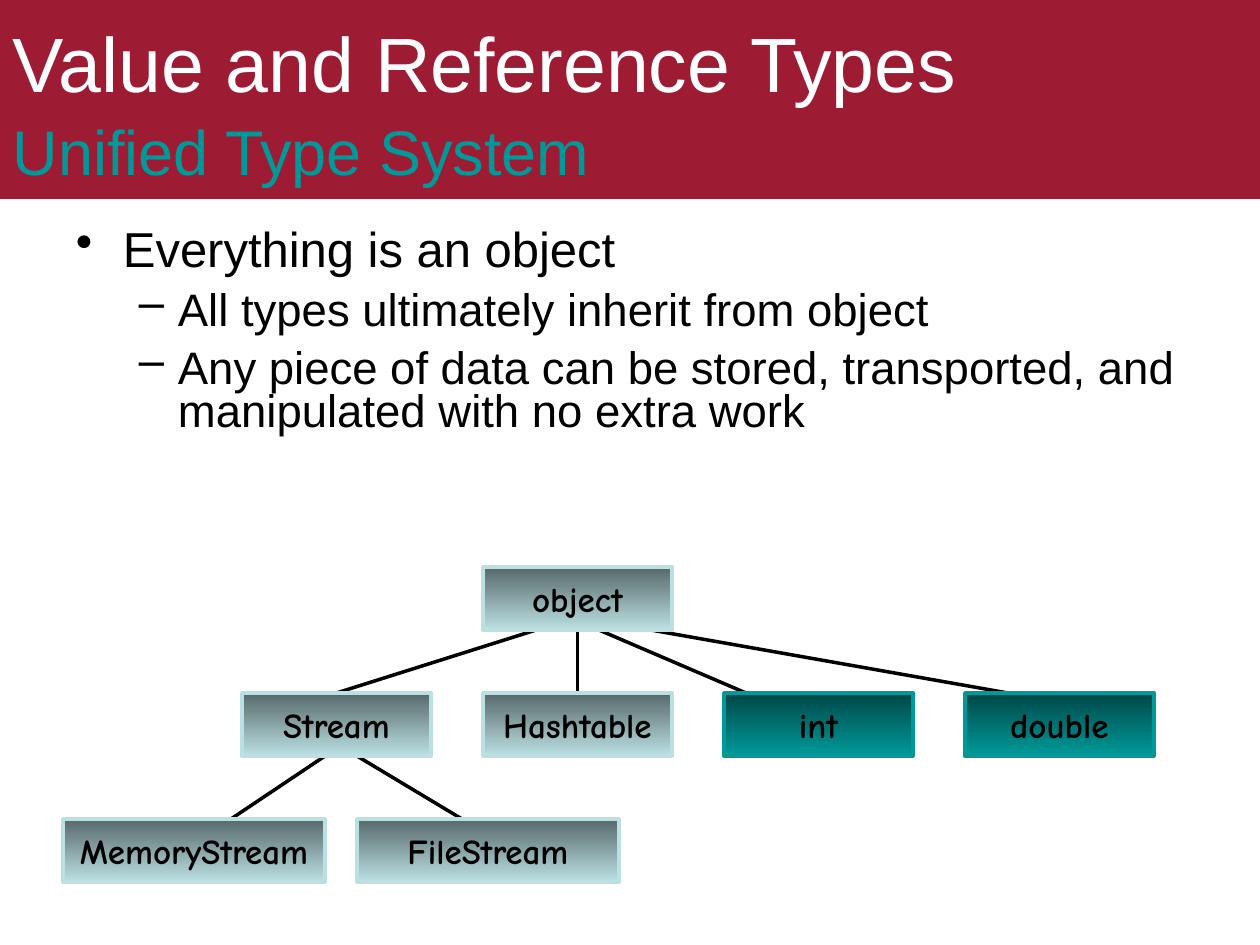
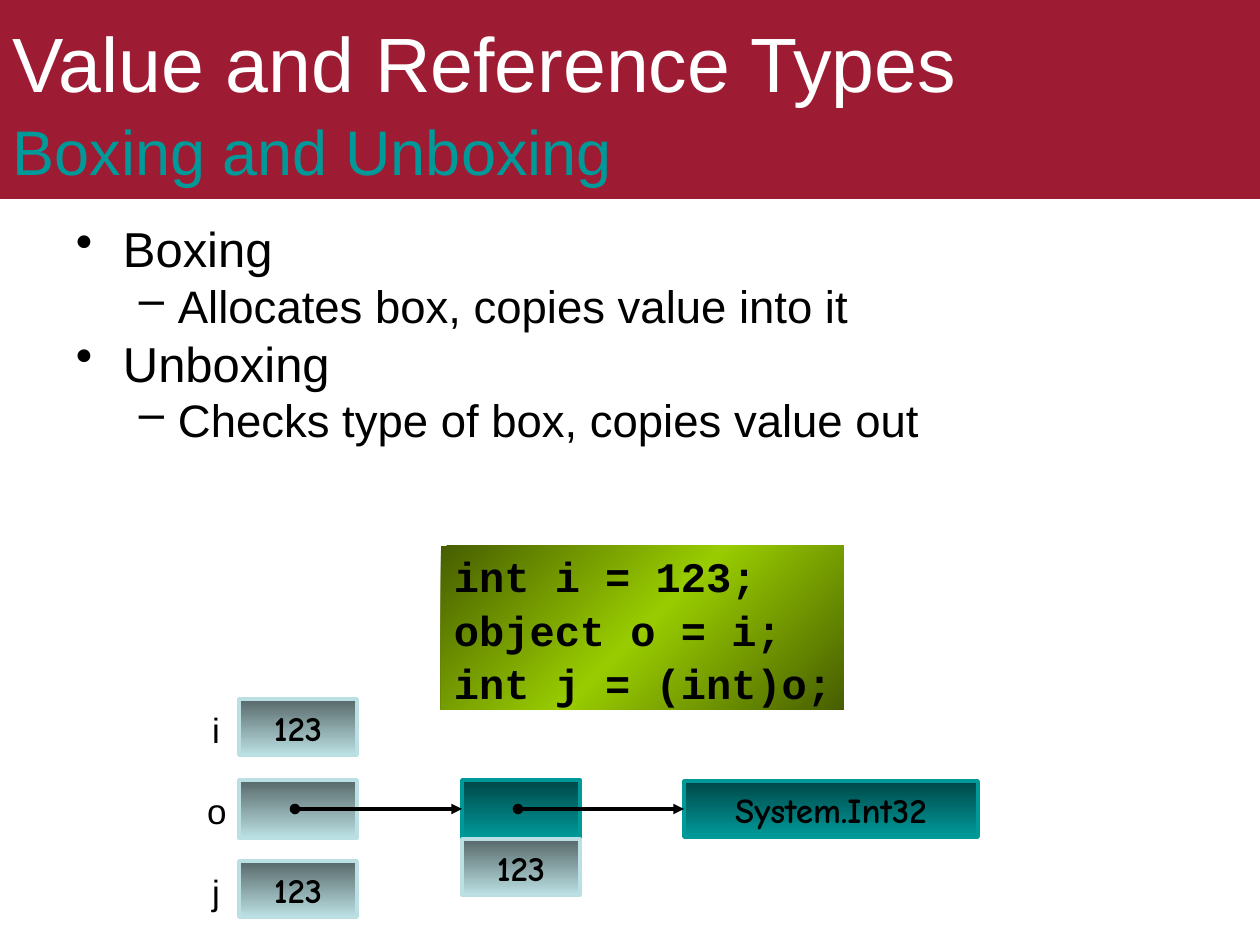
"""Build two slides on value and reference types."""
import copy

import pptx
import pptx.dml.color
import pptx.enum.shapes
import pptx.enum.text
import pptx.oxml
import pptx.oxml.ns
import pptx.util

EMU_PER_PX = pptx.util.Inches(1) / 126
COLORS = {
    "band": "9E1B34", "title": "FFFFFF", "teal": "009999", "dark teal": "004747",
    "pale": "BBE0E3", "dark pale": "576869", "lime": "99CC00", "dark lime": "475E00",
    "text": "000000",
}
REFERENCE_STYLE = ("dark pale", "pale")
VALUE_STYLE = ("dark teal", "teal")
FONTS = {
    "title": {"name": "Arial", "size": pptx.util.Pt(44)},
    "subtitle": {"name": "Arial", "size": pptx.util.Pt(36)},
    "node": {"name": "Comic Neue", "size": pptx.util.Pt(20), "bold": True},
    "label": {"name": "Arial", "size": pptx.util.Pt(20)},
    "code": {"name": "Courier New", "size": pptx.util.Pt(24), "bold": True},
}
LEVELS = [
    {"bullet": "•", "margin": 47, "indent": -47, "size": 28},
    {"bullet": "–", "margin": 102, "indent": -39, "size": 26},
]
CENTER = pptx.enum.text.PP_ALIGN.CENTER
LEFT = pptx.enum.text.PP_ALIGN.LEFT
TITLE_BOX = (0, 0, 1260, 199)
BODY_BOX = (63, 220, 1134, 624)


def px(length):
    """Turn pixels into EMU."""
    return round(length * EMU_PER_PX)


def color(name):
    """Return the named colour."""
    return pptx.dml.color.RGBColor.from_string(COLORS[name])


def apply(target, values):
    """Set each attribute from a dict."""
    for name, value in values.items():
        setattr(target, name, value)


def add_run(paragraph, text, font, color_name="text"):
    """Add a run with the given font values."""
    run = paragraph.add_run()
    run.text = text
    apply(run.font, font)
    run.font.color.rgb = color(color_name)


def set_frame(shape, wrap=True, anchor=pptx.enum.text.MSO_ANCHOR.MIDDLE):
    """Set wrapping, anchor and margins and return the text frame."""
    apply(shape.text_frame, {
        "word_wrap": wrap, "vertical_anchor": anchor,
        "margin_left": px(13), "margin_right": px(13),
        "margin_top": px(6), "margin_bottom": px(6),
    })
    return shape.text_frame


def add_rectangle(slide, box):
    """Add a plain rectangle without line or shadow."""
    rectangle = slide.shapes.add_shape(
        pptx.enum.shapes.MSO_SHAPE.RECTANGLE, *map(px, box))
    rectangle.shadow.inherit = False
    rectangle.line.fill.background()
    return rectangle


def fill_gradient(shape, names, angle):
    """Fill with evenly spaced gradient stops."""
    shape.fill.gradient()
    shape.fill.gradient_angle = angle
    stop_list = shape.element.spPr.find(".//" + pptx.oxml.ns.qn("a:gsLst"))
    for _ in names[2:]:
        stop_list.append(copy.deepcopy(stop_list[0]))
    for index, (stop, name) in enumerate(zip(shape.fill.gradient_stops, names)):
        stop.position = index / (len(names) - 1)
        stop.color.rgb = color(name)


def add_node(slide, box, style, text=""):
    """Add a shaded, outlined box with centred text."""
    node = add_rectangle(slide, box)
    fill_gradient(node, style, 270)
    node.line.color.rgb = color(style[1])
    node.line.width = pptx.util.Pt(2)
    if text:
        paragraph = set_frame(node, wrap=False).paragraphs[0]
        paragraph.alignment = CENTER
        add_run(paragraph, text, FONTS["node"])
    return node


def add_line(slide, start, end, arrow=False):
    """Add a black line, as an arrow with a dot at its start if asked."""
    line = slide.shapes.add_connector(
        pptx.enum.shapes.MSO_CONNECTOR.STRAIGHT, *map(px, start + end))
    line.line.color.rgb = color("text")
    line.line.width = pptx.util.Pt(2)
    properties = line.element.spPr
    if arrow:
        outline = properties.find(pptx.oxml.ns.qn("a:ln"))
        for tag, kind in (("a:headEnd", "oval"), ("a:tailEnd", "triangle")):
            outline.append(pptx.oxml.parse_xml(
                f'<{tag} {pptx.oxml.ns.nsdecls("a")} type="{kind}"/>'))
    properties.append(pptx.oxml.parse_xml(f'<a:effectLst {pptx.oxml.ns.nsdecls("a")}/>'))
    return line


def add_title(slide, box, subtitle):
    """Add the title band with the topic and its subtitle."""
    band = add_rectangle(slide, box)
    band.fill.solid()
    band.fill.fore_color.rgb = color("band")
    paragraph = set_frame(band).paragraphs[0]
    apply(paragraph, {"alignment": LEFT, "line_spacing": 1.05})
    add_run(paragraph, "Value and Reference Types", FONTS["title"], "title")
    paragraph.add_line_break()
    add_run(paragraph, subtitle, FONTS["subtitle"], "teal")


def add_bullets(slide, box, items, space_ratio):
    """Add a two-level list, spaced by a share of the text size."""
    text_box = slide.shapes.add_textbox(*map(px, box))
    frame = set_frame(text_box, anchor=pptx.enum.text.MSO_ANCHOR.TOP)
    frame.margin_top = px(10)
    for index, (level, text) in enumerate(items):
        style = LEVELS[level]
        paragraph = frame.add_paragraph() if index else frame.paragraphs[0]
        properties = paragraph._p.get_or_add_pPr()
        properties.set("marL", str(px(style["margin"])))
        properties.set("indent", str(px(style["indent"])))
        properties.append(pptx.oxml.parse_xml(
            f'<a:buChar {pptx.oxml.ns.nsdecls("a")} char="{style["bullet"]}"/>'))
        apply(paragraph, {"level": level, "line_spacing": 0.8})
        if index:
            paragraph.space_before = pptx.util.Pt(round(style["size"] * space_ratio, 1))
        add_run(paragraph, text, {"name": "Arial", "size": pptx.util.Pt(style["size"])})


def add_type_tree(slide, left, top):
    """Draw the inheritance tree in three rows."""
    width, height, row_pitch, column_pitch = 189, 63, 126, 241
    columns = [left + 179 + column_pitch * column for column in range(4)]
    types = {
        "object": (columns[1], 0, width, REFERENCE_STYLE),
        "Stream": (columns[0], 1, width, REFERENCE_STYLE),
        "Hashtable": (columns[1], 1, width, REFERENCE_STYLE),
        "int": (columns[2], 1, width, VALUE_STYLE),
        "double": (columns[3], 1, width, VALUE_STYLE),
        "MemoryStream": (left, 2, 262, REFERENCE_STYLE),
        "FileStream": (left + 294, 2, 262, REFERENCE_STYLE),
    }
    links = {
        ("object", "Stream"): (473, 273),
        ("object", "Hashtable"): (514, 514),
        ("object", "int"): (536, 683),
        ("object", "double"): (588, 945),
        ("Stream", "MemoryStream"): (262, 168),
        ("Stream", "FileStream"): (294, 399),
    }
    lines = {}
    for (parent, child), (start, end) in links.items():
        child_top = top + types[child][1] * row_pitch
        lines[child] = add_line(
            slide, (left + start, child_top - row_pitch + height), (left + end, child_top))
    nodes = {
        name: add_node(slide, (x, top + row * row_pitch, node_width, height), style, name)
        for name, (x, row, node_width, style) in types.items()
    }
    lines["Hashtable"].begin_connect(nodes["object"], 2)
    for child in ("Stream", "Hashtable"):
        lines[child].end_connect(nodes[child], 0)


def add_code(slide, box, code):
    """Add the code panel."""
    panel = add_rectangle(slide, box)
    fill_gradient(panel, ("dark lime", "lime", "dark lime"), 315)
    frame = set_frame(panel, wrap=False)
    for index, text in enumerate(code):
        paragraph = frame.add_paragraph() if index else frame.paragraphs[0]
        apply(paragraph, {"alignment": LEFT, "line_spacing": 1.06})
        add_run(paragraph, text, FONTS["code"])


def add_memory(slide, left, top):
    """Draw the variables, the boxed value and its type."""
    width, pitch, dot_offset = 118, 81, 56
    variables = {}
    for row, (name, value, height) in enumerate(
            [("i", "123", 56), ("o", "", 58), ("j", "123", 56)]):
        y = top + row * pitch
        variables[name] = add_node(
            slide, (left + 45, y, width, height), REFERENCE_STYLE, value)
        label = slide.shapes.add_textbox(*map(px, (left, y + 2, 44, 56)))
        paragraph = set_frame(label, wrap=False).paragraphs[0]
        paragraph.alignment = CENTER
        add_run(paragraph, name, FONTS["label"])
    box_left, box_top = left + 268, top + pitch
    header = add_node(slide, (box_left, box_top, width, 58), VALUE_STYLE)
    add_node(slide, (box_left, box_top + 59, width, 56), REFERENCE_STYLE, "123")
    type_left = left + 490
    type_node = add_node(
        slide, (type_left, box_top + 1, 294, 56), VALUE_STYLE, "System.Int32")
    middle = box_top + 29
    for source_left, target_left, target in (
            (left + 45, box_left, header), (box_left, type_left, type_node)):
        arrow = add_line(
            slide, (source_left + dot_offset, middle), (target_left, middle), arrow=True)
        arrow.end_connect(target, 1)


def add_topic_slide(presentation, subtitle, items, space_ratio):
    """Add a slide with its title band and list."""
    slide = presentation.slides.add_slide(presentation.slide_layouts[6])
    add_title(slide, TITLE_BOX, subtitle)
    add_bullets(slide, BODY_BOX, items, space_ratio)
    return slide


def main():
    """Build and save the presentation."""
    presentation = pptx.Presentation()
    apply(presentation, {"slide_width": px(1260), "slide_height": px(945)})

    slide = add_topic_slide(presentation, "Unified Type System", [
        (0, "Everything is an object"),
        (1, "All types ultimately inherit from object"),
        (1, "Any piece of data can be stored, transported, and "
            "manipulated with no extra work"),
    ], 0.31)
    add_type_tree(slide, 63, 567)

    slide = add_topic_slide(presentation, "Boxing and Unboxing", [
        (0, "Boxing"),
        (1, "Allocates box, copies value into it"),
        (0, "Unboxing"),
        (1, "Checks type of box, copies value out"),
    ], 0.25)
    add_code(slide, (441, 546, 403, 164),
             ["int i = 123;", "object o = i;", "int j = (int)o;"])
    add_memory(slide, 194, 699)

    presentation.save("out.pptx")


if __name__ == "__main__":
    main()
